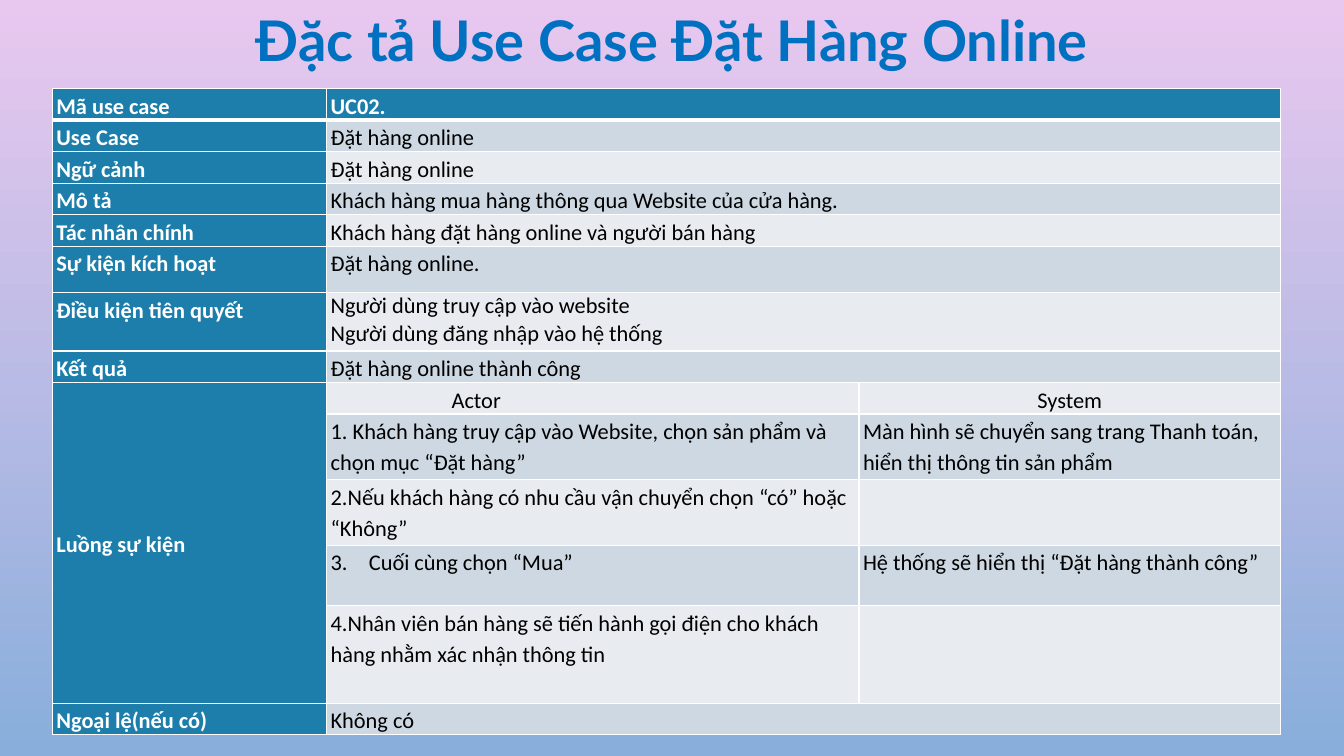
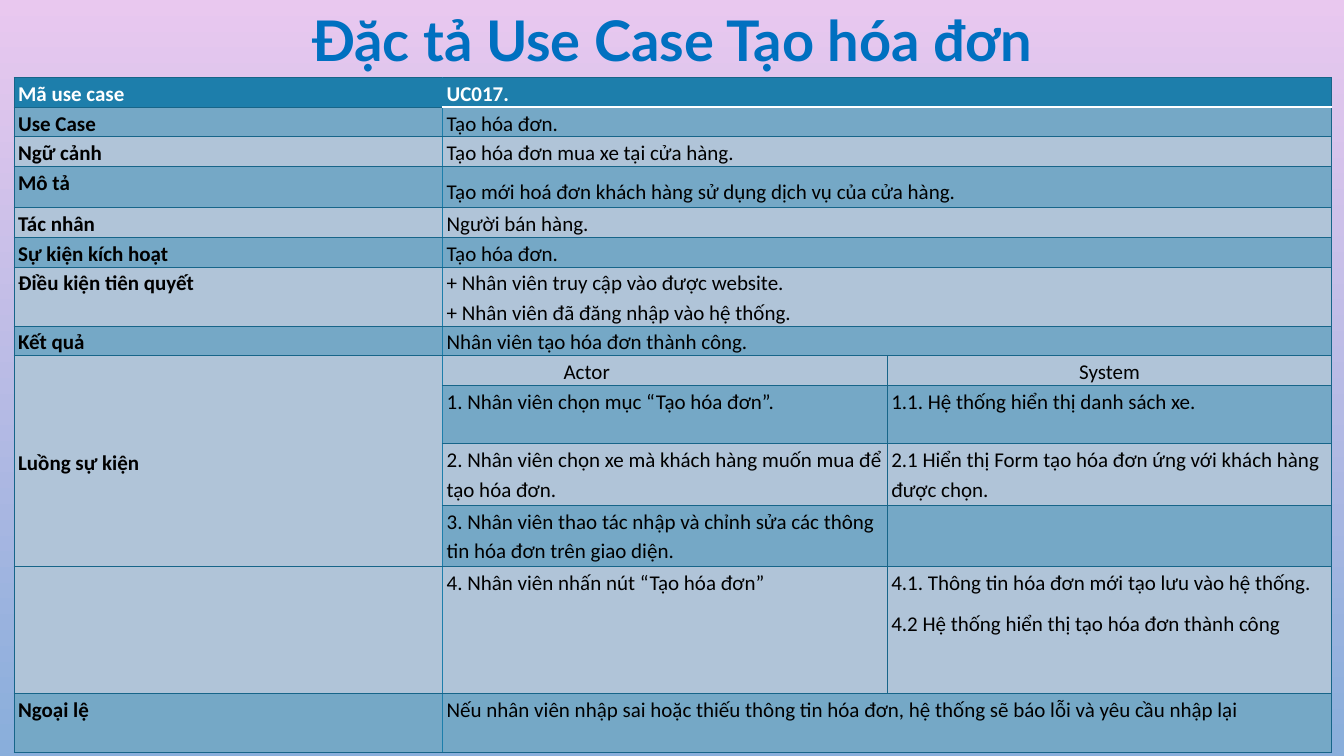
"""Build two use case specification slides, each a title above a table."""
import pptx
import pptx.util
import pptx.dml.color
import pptx.enum.text
import pptx.oxml.ns
import lxml.etree

Inches, Pt = pptx.util.Inches, pptx.util.Pt
ALIGN = pptx.enum.text.PP_ALIGN
ANCHOR = pptx.enum.text.MSO_ANCHOR

ACCENT, WHITE, BLACK, TITLE_BLUE = "1D7EAB", "FFFFFF", "000000", "0070C0"
GRADIENT = ["E9C8EF", "89AEDB"]
TITLE_H = 0.77
LINE_SPACING = 1.15

SYSTEM = {"text": ["System"], "format": {"alignment": ALIGN.CENTER}}

ORDER_ROWS = [
    (0.31, "Mã use case", "UC02."),
    (0.31, "Use Case", "Đặt hàng online"),
    (0.31, "Ngữ cảnh", "Đặt hàng online"),
    (0.31, "Mô tả", "Khách hàng mua hàng thông qua Website của cửa hàng."),
    (0.31, "Tác nhân chính", "Khách hàng đặt hàng online và người bán hàng"),
    (0.46, "Sự kiện kích hoạt", "Đặt hàng online."),
    (0.58, "Điều kiện tiên quyết",
     {"text": ["Người dùng truy cập vào website", "Người dùng đăng nhập vào hệ thống"],
      "format": {"line_spacing": 1.0}}),
    (0.31, "Kết quả", "Đặt hàng online thành công"),
    (0.31, "Luồng sự kiện", {"text": ["Actor"], "indent": (1.2, 0)}, SYSTEM),
    (0.65, None, "1. Khách hàng truy cập vào Website, chọn sản phẩm và chọn mục “Đặt hàng”",
     "Màn hình sẽ chuyển sang trang Thanh toán, hiển thị thông tin sản phẩm"),
    (0.65, None, "2.Nếu khách hàng có nhu cầu vận chuyển chọn “có” hoặc “Không”", ""),
    (0.6, None, {"text": ["Cuối cùng chọn “Mua”"], "indent": (0.38, -0.38), "start": 3},
     "Hệ thống sẽ hiển thị “Đặt hàng thành công”"),
    (0.97, None, "4.Nhân viên bán hàng sẽ tiến hành gọi điện cho khách hàng nhằm xác nhận thông tin", ""),
    (0.31, "Ngoại lệ(nếu có)", "Không có"),
]

INVOICE_ROWS = [
    (0.29, "Mã use case", "UC017."),
    (0.29, "Use Case", "Tạo hóa đơn."),
    (0.29, "Ngữ cảnh", "Tạo hóa đơn mua xe tại cửa hàng."),
    (0.41, "Mô tả",
     {"text": ["Tạo mới hoá đơn khách hàng sử dụng dịch vụ của cửa hàng."],
      "format": {"line_spacing": 1.5}}),
    (0.29, "Tác nhân", "Người bán hàng."),
    (0.29, "Sự kiện kích hoạt", "Tạo hóa đơn."),
    (0.58, "Điều kiện tiên quyết",
     {"text": ["+ Nhân viên truy cập vào được website.", "+ Nhân viên đã đăng nhập vào hệ thống."]}),
    (0.29, "Kết quả", "Nhân viên tạo hóa đơn thành công."),
    (0.29, "Luồng sự kiện", {"text": ["Actor"], "indent": (1.16, 0)}, SYSTEM),
    (0.58, None, "1. Nhân viên chọn mục “Tạo hóa đơn”.", "1.1. Hệ thống hiển thị danh sách xe."),
    (0.61, None, "2. Nhân viên chọn xe mà khách hàng muốn mua để tạo hóa đơn.",
     "2.1 Hiển thị Form tạo hóa đơn ứng với khách hàng được chọn."),
    (0.61, None, "3. Nhân viên thao tác nhập và chỉnh sửa các thông tin hóa đơn trên giao diện.", ""),
    (1.26, "", "4. Nhân viên nhấn nút “Tạo hóa đơn”",
     {"text": ["4.1. Thông tin hóa đơn mới tạo lưu vào hệ thống.",
               "4.2 Hệ thống hiển thị tạo hóa đơn thành công"],
      "format": {"space_after": Pt(8)}}),
    (0.58, "Ngoại lệ",
     "Nếu nhân viên nhập sai hoặc thiếu thông tin hóa đơn, hệ thống sẽ báo lỗi và yêu cầu nhập lại"),
]

SLIDES = [
    {"title": "Đặc tả Use Case Đặt Hàng Online", "rows": ORDER_ROWS,
     "at": (0.52, 0.88), "cols": (2.72, 5.28, 4.18), "size": 16,
     "bands": ("E8ECF1", "CDD8E2"), "label_fill": ACCENT, "label_color": WHITE,
     "line": (WHITE, 1), "label_line": (WHITE, 1), "header_line": (WHITE, 3), "header_from": 0},
    {"title": "Đặc tả Use Case Tạo hóa đơn", "rows": INVOICE_ROWS,
     "at": (0.14, 0.77), "cols": (4.25, 4.41, 4.41), "size": 15,
     "bands": ("B0C4D8", "75A8C6"), "label_fill": None, "label_color": BLACK,
     "line": ("176589", 0.75), "label_line": (ACCENT, 1.25),
     "header_line": (WHITE, 1.25), "header_from": 1},
]


def rgb(value):
    return pptx.dml.color.RGBColor.from_string(value)


def apply(target, values):
    for name, value in values.items():
        setattr(target, name, value)


def add_xml(parent, tag, **attributes):
    child = lxml.etree.SubElement(parent, pptx.oxml.ns.qn(tag))
    for name, value in attributes.items():
        child.set(name, str(value))
    return child


def set_font(r, face, size, color, bold):
    apply(r.font, {"name": face, "size": Pt(size), "bold": bold})
    r.font.color.rgb = rgb(color)


def set_borders(cell, edges):
    tc_pr = cell._tc.get_or_add_tcPr()
    for side in "LRTB":
        color, width = edges[side]
        ln = add_xml(tc_pr, "a:ln" + side, w=Pt(width))
        add_xml(add_xml(ln, "a:solidFill"), "a:srgbClr", val=color)


def write_cell(cell, content, size, color, bold):
    if not content:
        return
    if isinstance(content, str):
        content = {"text": [content]}
    tf = cell.text_frame
    for i, text in enumerate(content["text"]):
        p = tf.add_paragraph() if i else tf.paragraphs[0]
        apply(p, {"line_spacing": LINE_SPACING, **content.get("format", {})})
        r = p.add_run()
        r.text = text
        set_font(r, "Calibri", size, color, bold)
        p_pr = p._p.get_or_add_pPr()
        if "indent" in content:
            left, first = content["indent"]
            p_pr.set("marL", str(Inches(left)))
            p_pr.set("indent", str(Inches(first)))
        if "start" in content:
            add_xml(p_pr, "a:buAutoNum", type="arabicPeriod", startAt=content["start"])


def cell_edges(spec, row, col):
    edges = dict.fromkeys("LRTB", spec["line"])
    if col < 2:
        edges["R" if col == 0 else "L"] = spec["label_line"]
    if row < 2 and col >= spec["header_from"]:
        edges["B" if row == 0 else "T"] = spec["header_line"]
    return edges


def add_spec_table(s, spec):
    rows, cols = spec["rows"], spec["cols"]
    heights = [row[0] for row in rows]
    left, top = spec["at"]
    table = s.shapes.add_table(len(rows), len(cols), Inches(left), Inches(top),
                               Inches(sum(cols)), Inches(sum(heights))).table
    for column, width in zip(table.columns, cols):
        column.width = Inches(width)
    label_row = 0
    for i, (height, label, *contents) in enumerate(rows):
        table.rows[i].height = Inches(height)
        for j, content in enumerate([label, *contents, None][:3]):
            cell = table.cell(i, j)
            apply(cell, {"margin_left": Inches(0.04), "margin_right": Inches(0.04),
                         "margin_top": 0, "margin_bottom": 0})
            set_borders(cell, cell_edges(spec, i, j))
            fill = ACCENT if i == 0 else spec["bands"][i % 2]
            color = WHITE if i == 0 else BLACK
            if j == 0:
                fill = spec["label_fill"] or fill
                color = WHITE if i == 0 else spec["label_color"]
            cell.fill.solid()
            cell.fill.fore_color.rgb = rgb(fill)
            write_cell(cell, content, spec["size"], color, i == 0 or j == 0)
        if len(contents) == 1:
            table.cell(i, 1).merge(table.cell(i, 2))
        if label is not None:
            label_row = i
        elif i + 1 == len(rows) or rows[i + 1][1] is not None:
            table.cell(label_row, 0).merge(table.cell(i, 0))
            table.cell(label_row, 0).vertical_anchor = ANCHOR.MIDDLE


def add_title(s, text):
    title = s.shapes.title
    apply(title, {"left": 0, "top": 0, "width": Inches(13.33), "height": Inches(TITLE_H)})
    tf = title.text_frame
    apply(tf, {"word_wrap": True, "auto_size": pptx.enum.text.MSO_AUTO_SIZE.NONE,
               "vertical_anchor": ANCHOR.TOP})
    p = tf.paragraphs[0]
    p.alignment = ALIGN.CENTER
    r = p.add_run()
    r.text = text
    set_font(r, "Lato", 40, TITLE_BLUE, True)


prs = pptx.Presentation()
apply(prs, {"slide_width": Inches(13.33), "slide_height": Inches(7.5)})
background = prs.slide_master.background.fill
background.gradient()
background.gradient_angle = 270
for position, (stop, color) in enumerate(zip(background.gradient_stops, GRADIENT)):
    stop.color.rgb = rgb(color)
    stop.position = position

for spec in SLIDES:
    s = prs.slides.add_slide(prs.slide_layouts[5])
    add_title(s, spec["title"])
    add_spec_table(s, spec)

prs.save("out.pptx")
